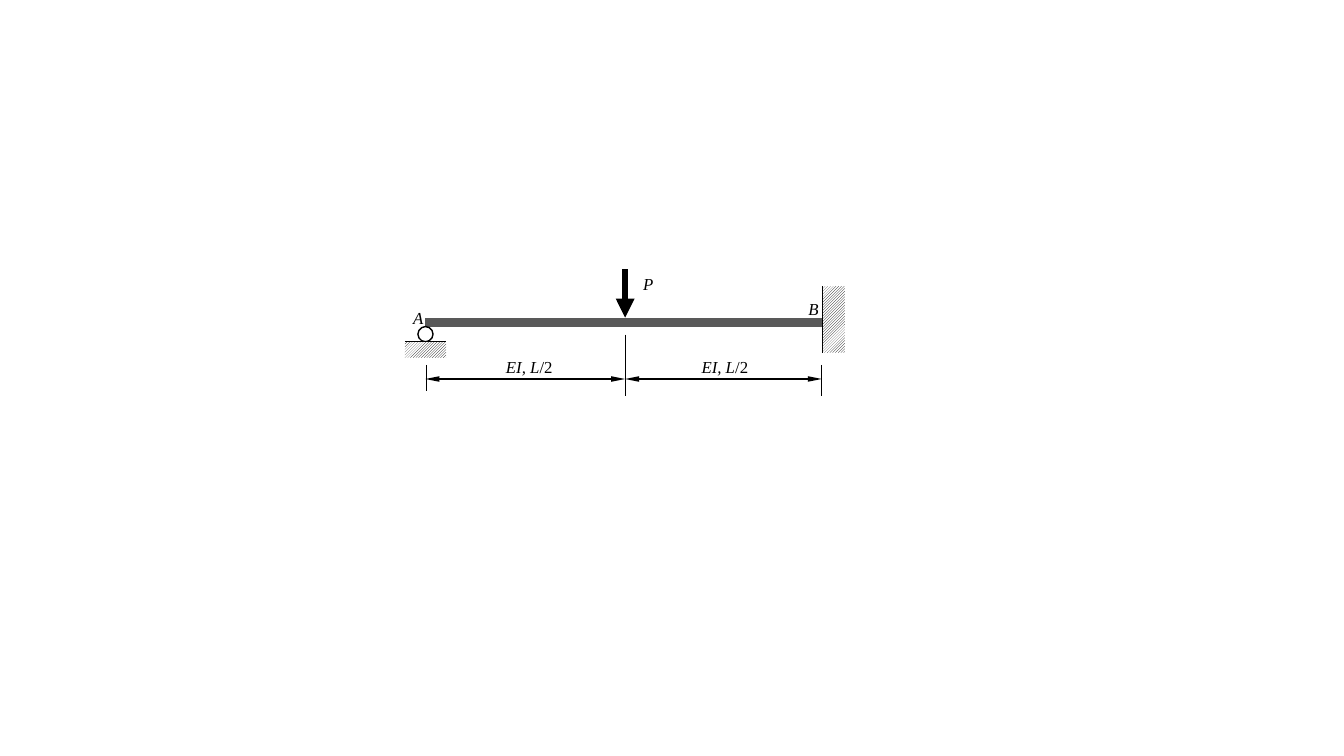
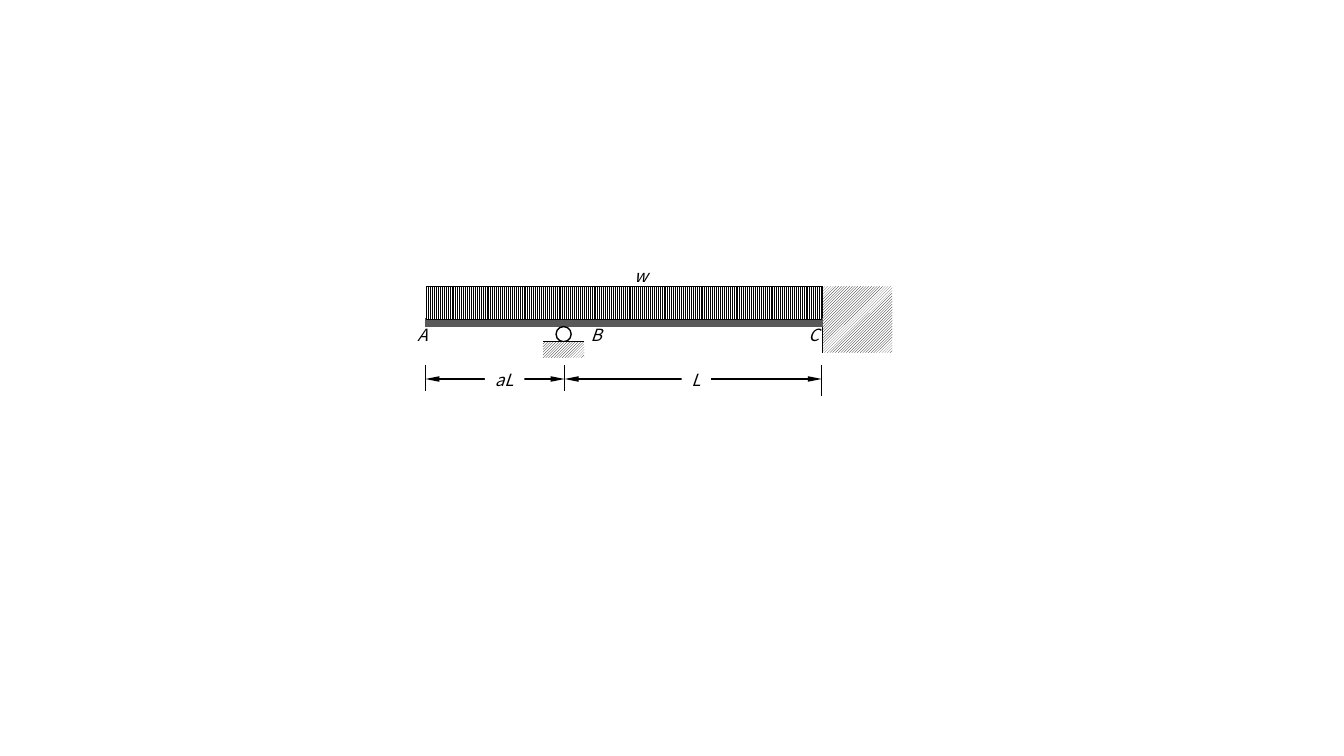
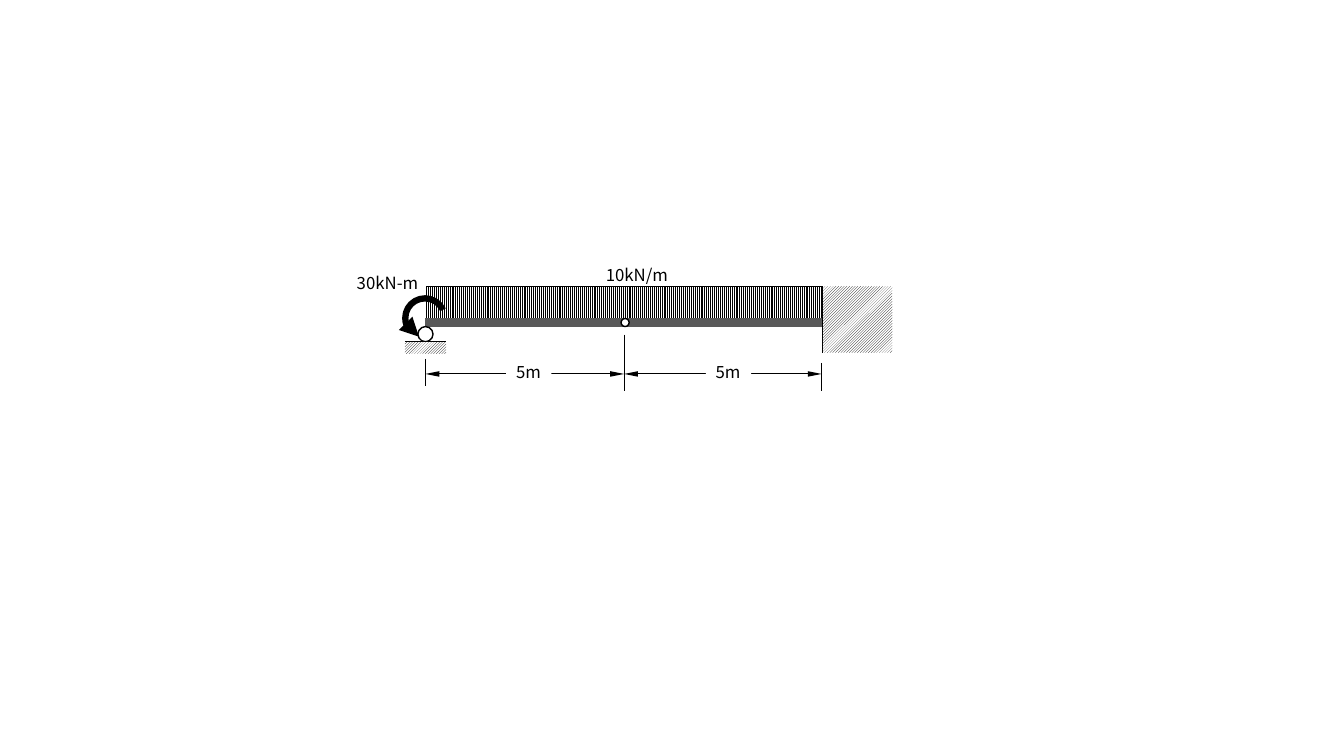
from dataclasses import dataclass

from lxml import etree
from pptx import Presentation
from pptx.dml.color import RGBColor
from pptx.enum import dml, shapes, text
from pptx.oxml.ns import qn
from pptx.util import Inches, Pt

BLACK = RGBColor(0x00, 0x00, 0x00)
WHITE = RGBColor(0xFF, 0xFF, 0xFF)
BEAM_GRAY = RGBColor(0x59, 0x59, 0x59)

SERIF = "Times New Roman"
SANS = "Noto Sans CJK KR"
HATCH = dml.MSO_PATTERN.LIGHT_UPWARD_DIAGONAL
STRIPES = dml.MSO_PATTERN.LIGHT_VERTICAL

BEAM_LEFT, BEAM_RIGHT, BEAM_Y = 4.22, 8.16, 3.2
WALL_TOP, WALL_HEIGHT = 2.84, 0.66
GROUND_Y, GROUND_WIDTH = 3.39, 0.41
ROLLER_SIZE, HINGE_SIZE = 0.15, 0.08
LABEL_HEIGHT = 0.3
THIN, OUTLINE, HEAVY, BEAM_WEIGHT = 0.75, 1, 4.5, 6


@dataclass
class Label:
    left: float
    top: float
    width: float
    words: str
    upright: str = ""
    wrap: bool = False
    backed: bool = False


@dataclass
class Tick:
    x: float
    top: float
    bottom: float


@dataclass
class Span:
    left: float
    right: float


def add_heads(line, ends: tuple, **size: str) -> None:
    """Put triangle arrowheads on the named ends of a line format."""
    ln = line._get_or_add_ln()
    for end in ends:
        etree.SubElement(ln, qn(f"a:{end}"), type="triangle", **size)


def add_line(slide, x1: float, y1: float, x2: float, y2: float,
             weight: float = THIN, color: RGBColor = BLACK,
             ends: tuple = (), **size: str) -> None:
    c = slide.shapes.add_connector(shapes.MSO_CONNECTOR.STRAIGHT,
                                   *map(Inches, (x1, y1, x2, y2)))
    c.line.color.rgb = color
    c.line.width = Pt(weight)
    add_heads(c.line, ends, **size)
    etree.SubElement(c._element.spPr, qn("a:effectLst"))


def add_outline(slide, kind, left: float, top: float, width: float,
                height: float, weight: float = 0):
    """Add a preset shape with a black line, or no line at weight 0."""
    sp = slide.shapes.add_shape(kind, *map(Inches, (left, top, width, height)))
    sp.shadow.inherit = False
    if weight:
        sp.line.color.rgb = BLACK
        sp.line.width = Pt(weight)
    else:
        sp.line.fill.background()
    return sp


def add_pattern(slide, pattern, left: float, top: float, width: float,
                height: float, weight: float = 0) -> None:
    sp = add_outline(slide, shapes.MSO_SHAPE.RECTANGLE, left, top, width,
                     height, weight)
    sp.fill.patterned()
    sp.fill.pattern = pattern
    sp.fill.fore_color.rgb = BLACK
    sp.fill.back_color.rgb = WHITE


def add_circle(slide, x: float, y: float, size: float) -> None:
    sp = add_outline(slide, shapes.MSO_SHAPE.OVAL, x - size / 2, y - size / 2,
                     size, size, OUTLINE)
    sp.fill.solid()
    sp.fill.fore_color.rgb = WHITE


def add_beam(slide) -> None:
    add_line(slide, BEAM_LEFT, BEAM_Y, BEAM_RIGHT, BEAM_Y, BEAM_WEIGHT, BEAM_GRAY)


def add_wall(slide, width: float) -> None:
    add_pattern(slide, HATCH, BEAM_RIGHT, WALL_TOP, width, WALL_HEIGHT)
    add_line(slide, BEAM_RIGHT, WALL_TOP, BEAM_RIGHT, WALL_TOP + WALL_HEIGHT)


def add_roller(slide, x: float, ground_depth: float = 0.16) -> None:
    add_circle(slide, x, GROUND_Y - ROLLER_SIZE / 2, ROLLER_SIZE)
    left = x - GROUND_WIDTH / 2
    add_pattern(slide, HATCH, left, GROUND_Y, GROUND_WIDTH, ground_depth)
    add_line(slide, left, GROUND_Y, left + GROUND_WIDTH, GROUND_Y)


def add_uniform_load(slide) -> None:
    add_pattern(slide, STRIPES, 4.23, WALL_TOP, 3.92, 0.33, THIN)


def add_moment(slide) -> None:
    sp = add_outline(slide, shapes.MSO_SHAPE.ARC, 4.02, 2.96, 0.39, 0.39, HEAVY)
    sp.fill.background()
    sp.adjustments[0], sp.adjustments[1] = 122.6, 43.41
    sp._element.spPr.find(qn("a:xfrm")).set("flipH", "1")
    add_heads(sp.line, ("tailEnd",))


def add_dimensions(slide, y: float, spans: list[Span], ticks: list[Tick]) -> None:
    for span in spans:
        add_line(slide, span.left, y, span.right, y,
                 ends=("headEnd", "tailEnd"), w="sm", len="lg")
    for tick in ticks:
        add_line(slide, tick.x, tick.top, tick.x, tick.bottom)


def add_labels(slide, labels: list[Label], font: str, italic: bool) -> None:
    for label in labels:
        box = slide.shapes.add_textbox(*map(Inches, (
            label.left, label.top, label.width, LABEL_HEIGHT)))
        if label.backed:
            box.fill.solid()
            box.fill.fore_color.rgb = WHITE
        tf = box.text_frame
        tf.word_wrap = label.wrap
        tf.auto_size = text.MSO_AUTO_SIZE.SHAPE_TO_FIT_TEXT
        p = tf.paragraphs[0]
        for words, slanted in ((label.words, italic), (label.upright, False)):
            if not words:
                continue
            r = p.add_run()
            r.text = words
            for name, value in dict(name=font, size=Pt(12), italic=slanted).items():
                setattr(r.font, name, value)
            r.font.color.rgb = BLACK


def draw_point_load(slide) -> None:
    middle = 6.2
    add_beam(slide)
    add_roller(slide, BEAM_LEFT)
    add_dimensions(slide, 3.76, [Span(4.22, middle), Span(middle, 8.15)],
                   [Tick(4.23, 3.62, 3.88), Tick(middle, 3.32, 3.93),
                    Tick(8.15, 3.62, 3.93)])
    add_line(slide, middle, 2.67, middle, 3.15, HEAVY, ends=("tailEnd",))
    add_wall(slide, 0.22)
    add_labels(slide, [
        Label(4.92, 3.49, 0.67, "EI, L", "/2"),
        Label(6.86, 3.49, 0.67, "EI, L", "/2"),
        Label(6.28, 2.67, 0.31, "P"),
        Label(4, 3, 0.31, "A", wrap=True),
        Label(7.92, 2.91, 0.31, "B", wrap=True),
    ], SERIF, True)


def draw_overhang(slide) -> None:
    add_wall(slide, 0.69)
    add_beam(slide)
    add_roller(slide, 5.59)
    add_uniform_load(slide)
    add_dimensions(slide, 3.76, [Span(4.22, 5.6), Span(5.6, 8.15)],
                   [Tick(4.22, 3.62, 3.88), Tick(5.6, 3.62, 3.88),
                    Tick(8.15, 3.62, 3.93)])
    add_labels(slide, [
        Label(4.81, 3.62, 0.39, "aL", backed=True),
        Label(6.76, 3.62, 0.29, "L", backed=True),
        Label(4.04, 3.17, 0.31, "A", wrap=True),
        Label(5.76, 3.17, 0.31, "B", wrap=True),
        Label(7.92, 3.17, 0.31, "C", wrap=True),
        Label(6.19, 2.59, 1.4, "w", wrap=True),
    ], SANS, True)


def draw_hinged_beam(slide) -> None:
    middle = 6.19
    add_uniform_load(slide)
    add_beam(slide)
    add_circle(slide, 6.2, BEAM_Y, HINGE_SIZE)
    add_roller(slide, BEAM_LEFT, 0.12)
    add_wall(slide, 0.69)
    add_dimensions(slide, 3.71, [Span(4.22, middle), Span(middle, 8.15)],
                   [Tick(4.22, 3.56, 3.83), Tick(middle, 3.32, 3.88),
                    Tick(8.15, 3.6, 3.88)])
    add_moment(slide)
    add_labels(slide, [
        Label(5.02, 3.54, 0.45, "5m", backed=True),
        Label(7, 3.54, 0.45, "5m", backed=True),
        Label(5.91, 2.58, 0.85, "10kN/m"),
        Label(3.44, 2.66, 0.86, "30kN-m"),
    ], SANS, False)


def main() -> None:
    prs = Presentation()
    prs.slide_width, prs.slide_height = Inches(13.33), Inches(7.5)
    for draw in (draw_point_load, draw_overhang, draw_hinged_beam):
        draw(prs.slides.add_slide(prs.slide_layouts[6]))
    prs.save("out.pptx")


if __name__ == "__main__":
    main()
